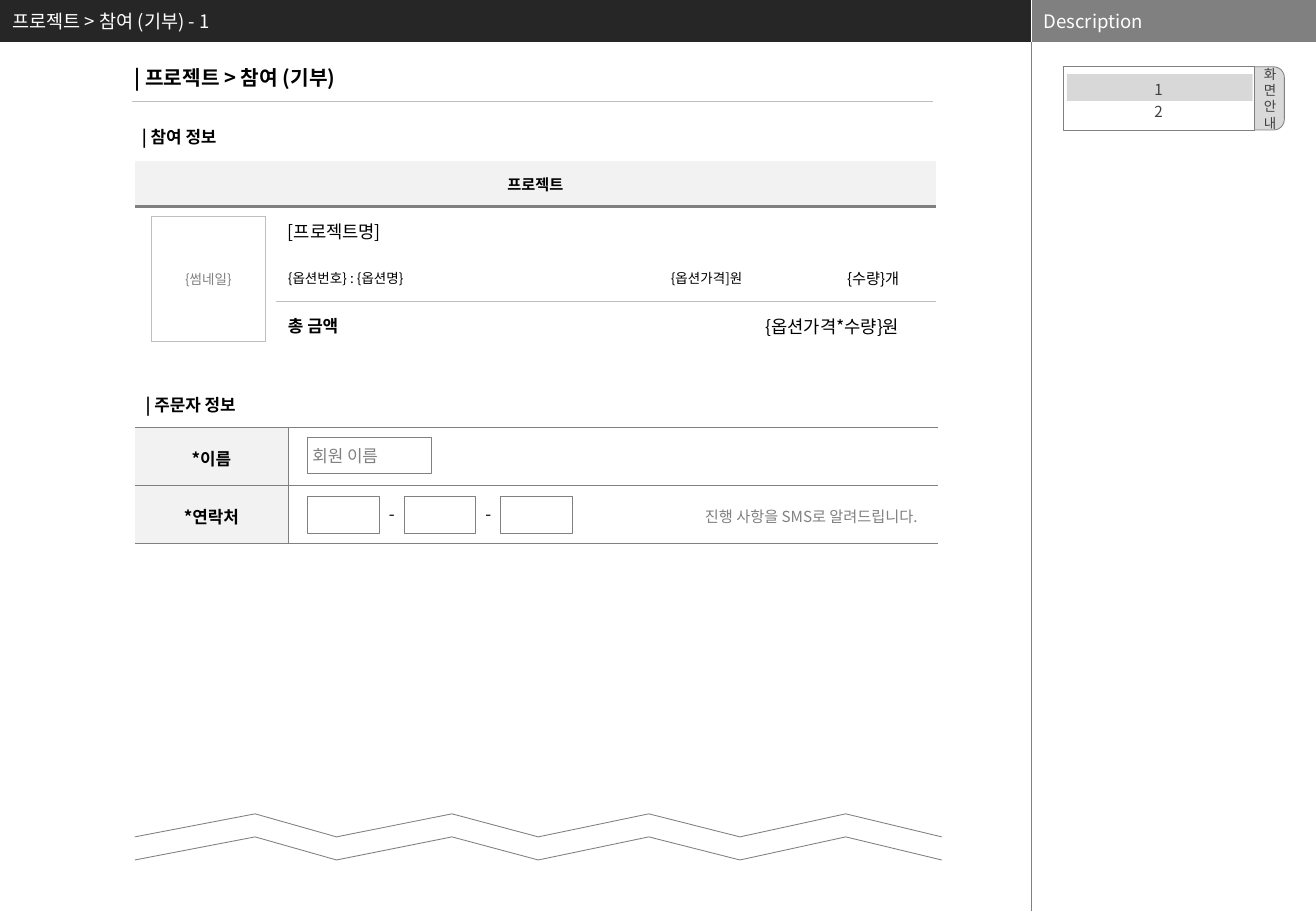
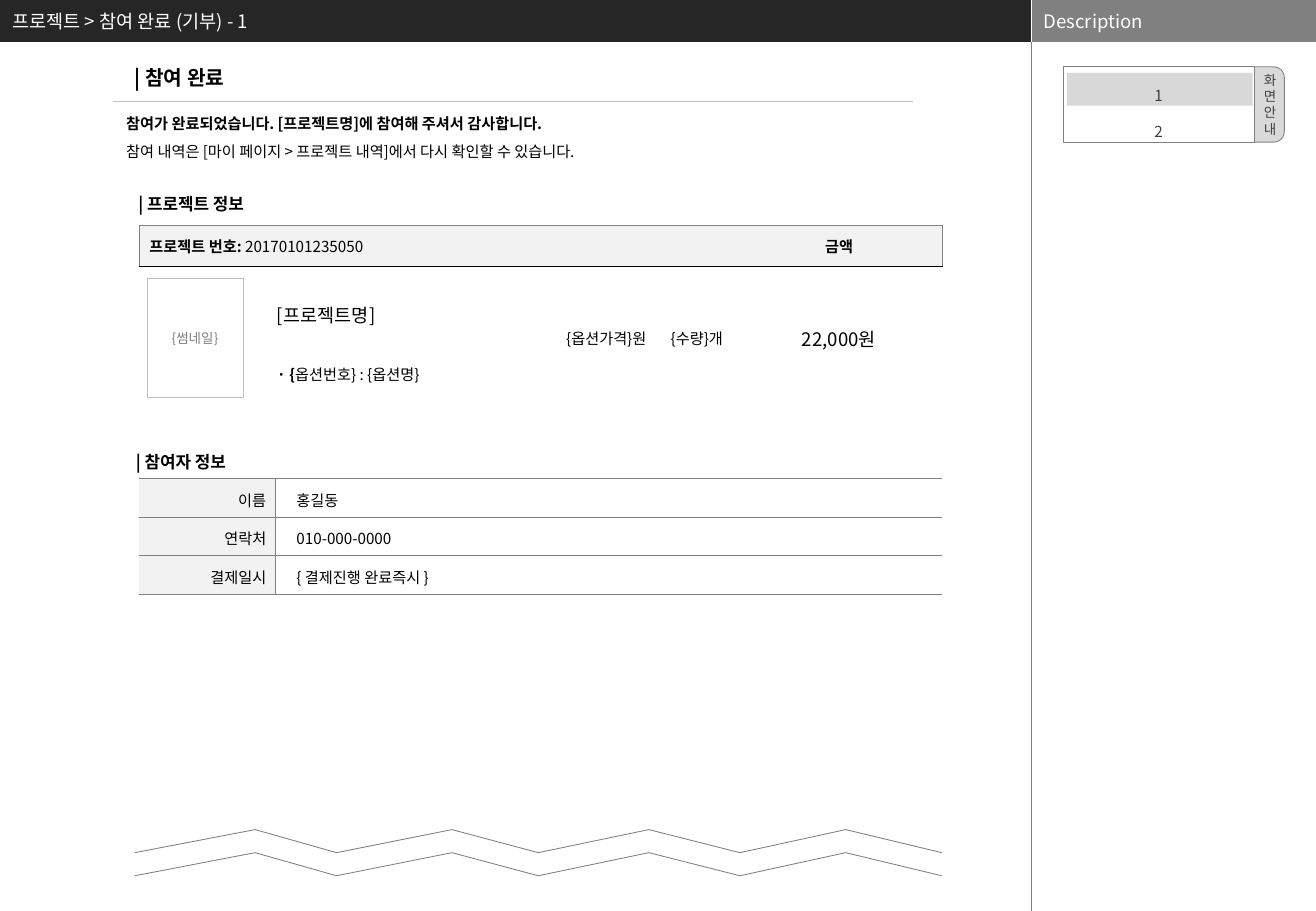
import dataclasses

import lxml.etree
import pptx
import pptx.dml.color
import pptx.enum.shapes
import pptx.enum.text
import pptx.oxml.ns
import pptx.util

qn = pptx.oxml.ns.qn
Align = pptx.enum.text.PP_ALIGN
Anchor = pptx.enum.text.MSO_ANCHOR
Preset = pptx.enum.shapes.MSO_SHAPE
PLAIN_TABLE = "{2D5ABB26-0587-4C30-8999-92F81FD0307C}"
EDGE_TAGS = [qn("a:ln" + side) for side in "LRTB"]


@dataclasses.dataclass(frozen=True)
class Theme:
    font: str = "Noto Sans CJK KR"
    white: str = "FFFFFF"
    black: str = "000000"
    band: str = "262626"
    grey: str = "808080"
    rule: str = "BFBFBF"
    head_fill: str = "F2F2F2"
    tab_fill: str = "D9D9D9"
    panel_text: str = "404040"
    band_size: float = 11
    title_size: float = 12
    heading_size: float = 10
    project_size: float = 10.5
    body_size: float = 9
    small_size: float = 8
    hairline: float = 0.25
    thin: float = 0.5
    medium: float = 1
    thick: float = 1.5


@dataclasses.dataclass(frozen=True)
class Box:
    """A region in grid steps; the slide is 108.3 columns by 75 rows."""
    left: float
    top: float
    width: float
    height: float

    def inner(self, left, top, width, height):
        return Box(self.left + left, self.top + top, width, height)

    def lengths(self):
        return [step(n) for n in (self.left, self.top, self.width, self.height)]


THEME = Theme()
SLIDE = Box(0, 0, 108.3, 75)
BAND = Box(0, 0, 84.9, 3.45)
SIDE = Box(84.9, 0, 23.4, 3.45)


def step(count):
    return pptx.util.Inches(count / 10)


def rgb(colour):
    return pptx.dml.color.RGBColor.from_string(colour)


def write(frame, lines, size, colour=THEME.black, bold=False, align=Align.LEFT, spacing=None):
    for index, line in enumerate(lines):
        para = frame.paragraphs[0] if index == 0 else frame.add_paragraph()
        para.text = line
        para.alignment = align
        para.line_spacing = spacing
        font = para.font
        font.name, font.size, font.bold = THEME.font, pptx.util.Pt(size), bold
        font.color.rgb = rgb(colour)
        font._element.set("kern", "0")
        east_asian = lxml.etree.SubElement(font._element, qn("a:ea"))
        east_asian.set("typeface", THEME.font)


def set_frame(frame, insets, anchor, wrap=True):
    frame.margin_left, frame.margin_top, frame.margin_right, frame.margin_bottom = map(step, insets)
    frame.vertical_anchor = anchor
    frame.word_wrap = wrap
    frame.auto_size = pptx.enum.text.MSO_AUTO_SIZE.NONE


def add_text(page, box, lines, size, insets=(1, 0.5, 1, 0.5), anchor=Anchor.TOP, wrap=True, **style):
    frame = page.shapes.add_textbox(*box.lengths()).text_frame
    set_frame(frame, insets, anchor, wrap)
    write(frame, lines, size, **style)
    return frame


def add_block(page, box, fill, line=None, preset=Preset.RECTANGLE):
    block = page.shapes.add_shape(preset, *box.lengths())
    block.shadow.inherit = False
    block.fill.solid()
    block.fill.fore_color.rgb = rgb(fill)
    if line:
        block.line.color.rgb = rgb(line)
        block.line.width = pptx.util.Pt(THEME.thin)
    else:
        block.line.fill.background()
    return block


def add_line(page, left, top, right, bottom, colour, width):
    line = page.shapes.add_connector(
        pptx.enum.shapes.MSO_CONNECTOR.STRAIGHT, *map(step, (left, top, right, bottom)))
    line.line.color.rgb = rgb(colour)
    line.line.width = pptx.util.Pt(width)
    lxml.etree.SubElement(line.element.spPr, qn("a:effectLst"))


def add_table(page, box, columns, rows):
    table = page.shapes.add_table(len(rows), len(columns), *box.lengths()).table
    table.first_row = table.horz_banding = False
    table._tbl.tblPr.find(qn("a:tableStyleId")).text = PLAIN_TABLE
    for column, width in zip(table.columns, columns):
        column.width = step(width)
    for row, height in zip(table.rows, rows):
        row.height = step(height)
    for cell in table.iter_cells():
        cell.fill.background()
        cell.margin_top = cell.margin_bottom = 0
        cell.vertical_anchor = Anchor.MIDDLE
        cell.text_frame.paragraphs[0].font.size = pptx.util.Pt(THEME.small_size)
    draw_edges(table.iter_cells(), "LRTB")
    return table


def write_cell(cell, text, size, insets=(1, 0.5), **style):
    cell.margin_left, cell.margin_right = map(step, insets)
    write(cell.text_frame, [text], size, **style)


def shade(cells):
    for cell in cells:
        cell.fill.solid()
        cell.fill.fore_color.rgb = rgb(THEME.head_fill)


def draw_edges(cells, sides, colour=None, width=THEME.thin):
    """Rule the named sides of cells; without a colour, leave them unruled."""
    for cell in cells:
        props = cell._tc.get_or_add_tcPr()
        for side in sides:
            for former in props.findall(qn("a:ln" + side)):
                props.remove(former)
            edge = lxml.etree.SubElement(props, qn("a:ln" + side), w=str(pptx.util.Pt(width)))
            fill = lxml.etree.SubElement(edge, qn("a:solidFill" if colour else "a:noFill"))
            if colour:
                lxml.etree.SubElement(fill, qn("a:srgbClr"), val=colour)
        props[:] = sorted(
            props, key=lambda part: EDGE_TAGS.index(part.tag) if part.tag in EDGE_TAGS else 4)


def row_cells(table, row):
    return [table.cell(row, column) for column in range(len(table.columns))]


def build_layout(deck):
    """Put the bands and the side rule on the title-only layout."""
    layout = deck.slide_layouts[5]
    for holder in list(layout.placeholders):
        if holder.placeholder_format.idx:
            holder.element.getparent().remove(holder.element)
    page = deck.slides.add_slide(layout)
    add_block(page, BAND, THEME.band)
    add_block(page, SIDE, THEME.grey)
    add_line(page, SIDE.left, 0, SIDE.left, SIDE.height, THEME.white, THEME.hairline)
    add_line(page, SIDE.left, SIDE.height, SIDE.left, SLIDE.height, THEME.grey, THEME.hairline)
    add_text(page, SIDE, ["Description"], THEME.band_size, anchor=Anchor.MIDDLE, colour=THEME.white)
    for shape in list(page.shapes)[1:]:
        layout.shapes.element.append(shape.element)
    return layout, page


def set_title(page, text):
    title = page.shapes.title
    title.left, title.top, title.width, title.height = BAND.inner(0, 0, 82.5, 3.5).lengths()
    set_frame(title.text_frame, (1, 0.5, 1, 0.5), Anchor.MIDDLE)
    write(title.text_frame, [text], THEME.band_size, THEME.white)


def draw_page_heading(page, text, rule_left):
    add_text(page, Box(10.1, 4.9, 32.2, 3), [text], THEME.title_size, bold=True)
    add_line(page, rule_left, 8.35, rule_left + 65.85, 8.35, THEME.rule, THEME.thin)


def draw_section_heading(page, left, top, text):
    add_text(page, Box(left, top, 21.4, 2.7), [text], THEME.heading_size, bold=True)


def draw_thumbnail(page, box):
    table = add_table(page, box, (box.width,), (box.height,))
    draw_edges(table.iter_cells(), "LRTB", THEME.rule)
    label = add_block(page, box.inner((box.width - 7.1) / 2, (box.height - 1.3) / 2, 7.1, 1.3),
                      THEME.white)
    set_frame(label.text_frame, (0, 0, 0, 0), Anchor.MIDDLE)
    write(label.text_frame, ["{썸네일}"], THEME.small_size, THEME.grey, align=Align.CENTER)


def draw_screen_guide(page, box, spacing, highlight_top, highlight_height):
    tab = add_block(page, box.inner(13.6, 0, 4.6, box.height),
                    THEME.tab_fill, THEME.grey, Preset.ROUNDED_RECTANGLE)
    tab.adjustments[0] = 0.19
    set_frame(tab.text_frame, (0, 0, 0.4, 0), Anchor.MIDDLE, wrap=False)
    write(tab.text_frame, "화면안내", THEME.small_size, THEME.panel_text, align=Align.RIGHT)
    listing = add_block(page, box.inner(0, 0, 15.7, box.height), THEME.white, THEME.grey)
    set_frame(listing.text_frame, (0.4, 0.4, 0.4, 0.4), Anchor.MIDDLE, wrap=False)
    write(listing.text_frame, "12", THEME.body_size, THEME.panel_text,
          align=Align.CENTER, spacing=spacing)
    highlight = add_block(page, box.inner(0.3, highlight_top, 15.3, highlight_height), THEME.panel_text)
    colour = highlight.element.spPr.find(qn("a:solidFill")).find(qn("a:srgbClr"))
    lxml.etree.SubElement(colour, qn("a:alpha"), val="20000")


def draw_page_break(page, box):
    """Two parallel zigzags on a white plate that show the screen goes on."""
    plate_top = box.top - 1.9
    add_block(page, Box(box.left - 0.2, plate_top, 66.9, min(9.9, SLIDE.height - plate_top)),
              THEME.white)
    offsets = (0, 9.9, 16.6, 26.1, 33.2, 42.3, 49.8, 58.5, 66.4)
    lower = box.height / 2
    zigzags = [[(step(box.left + x), step(box.top + drop + (0 if index % 2 else lower)))
                for index, x in enumerate(offsets)] for drop in (0, lower)]
    builder = page.shapes.build_freeform(*zigzags[0][0])
    builder.add_line_segments(zigzags[0][1:], close=False)
    builder.move_to(*zigzags[1][0])
    builder.add_line_segments(zigzags[1][1:], close=False)
    outline = builder.convert_to_shape()
    outline.shadow.inherit = False
    outline.fill.background()
    outline.line.color.rgb = rgb(THEME.grey)
    outline.line.width = pptx.util.Pt(THEME.thin)


def draw_order_table(page, box):
    table = add_table(page, box, (11.6, 13, 26.4, 14.9), (3.75, 3.92, 3.92, 3.92))
    for first, last in (((0, 0), (0, 3)), ((1, 0), (3, 0)), ((1, 1), (1, 3)), ((3, 2), (3, 3))):
        table.cell(*first).merge(table.cell(*last))
    for row, column, text, size, style in (
            (0, 0, "프로젝트", THEME.body_size, dict(bold=True, align=Align.CENTER, insets=(0, 0))),
            (1, 1, "[프로젝트명]", THEME.project_size, {}),
            (2, 1, "{옵션번호} : {옵션명}", THEME.small_size, dict(insets=(1, 0))),
            (2, 2, "{옵션가격]원", THEME.small_size, dict(align=Align.RIGHT, insets=(1, 1))),
            (2, 3, "{수량}개", THEME.body_size, dict(align=Align.RIGHT, insets=(1, 3))),
            (3, 1, "총 금액", THEME.heading_size, dict(bold=True)),
            (3, 2, "{옵션가격*수량}원", THEME.project_size, dict(align=Align.RIGHT, insets=(1, 3)))):
        write_cell(table.cell(row, column), text, size, **style)
    shade(row_cells(table, 0))
    draw_edges(row_cells(table, 0), "B", THEME.grey, THEME.thick)
    draw_edges(row_cells(table, 1), "T", THEME.grey, THEME.thick)
    draw_edges(row_cells(table, 2)[1:], "B", THEME.rule, THEME.medium)
    draw_edges(row_cells(table, 3)[1:], "T", THEME.rule, THEME.medium)
    draw_thumbnail(page, box.inner(1.35, 4.55, 9.4, 10.3))


def add_form(page, box, label_width, labels, size, **style):
    """A two-column table with shaded labels and ruled rows."""
    table = add_table(page, box, (label_width, box.width - label_width),
                      [box.height / len(labels)] * len(labels))
    for row, label in enumerate(labels):
        cells = row_cells(table, row)
        for cell in cells:
            cell.margin_top = step(0.3)
        write_cell(cells[0], label, size, insets=(0.8, 0.8), **style)
        shade(cells[:1])
        draw_edges(cells[:1], "RTB", THEME.grey)
        draw_edges(cells[1:], "LTB", THEME.grey)
    return table


def draw_orderer_form(page, box):
    table = add_form(page, box, 12.6, ("*이름", "*연락처"), THEME.heading_size,
                     bold=True, align=Align.CENTER)
    write_cell(table.cell(1, 1), "진행 사항을 SMS로 알려드립니다.", THEME.body_size,
               insets=(1.7, 1.7), colour=THEME.grey, align=Align.RIGHT)
    name = add_block(page, box.inner(14.2, 0.8, 10.2, 3), THEME.white, THEME.grey)
    set_frame(name.text_frame, (0.4, 0.4, 0.4, 0.4), Anchor.MIDDLE, wrap=False)
    write(name.text_frame, ["회원 이름"], THEME.heading_size, THEME.grey)
    for index in range(3):
        left = 14.2 + 7.95 * index
        add_block(page, box.inner(left, 5.7, 5.9, 3), THEME.white, THEME.grey)
        if index < 2:
            add_text(page, box.inner(left + 6.7, 6.3, 0.6, 1.7), ["-"], THEME.heading_size,
                     insets=(0, 0, 0, 0), wrap=False)


def draw_receipt_table(page, box):
    table = add_table(page, box, (11.2, 22.9, 8.6, 6.3, 17.1), (3.4, 7.9, 3.9))
    table.cell(0, 0).merge(table.cell(0, 2))
    for column in (0, 2, 3, 4):
        table.cell(1, column).merge(table.cell(2, column))
    centred = dict(align=Align.CENTER, insets=(0.1, 0.1))
    for row, column, text, size, style in (
            (0, 0, "프로젝트 번호: ", THEME.body_size, dict(bold=True, insets=(0.8, 0.8))),
            (0, 4, "금액", THEME.body_size, dict(bold=True, **centred)),
            (1, 1, "[프로젝트명]", THEME.band_size, dict(insets=(0.1, 0.1))),
            (1, 2, "{옵션가격}원", THEME.body_size, centred),
            (1, 3, "{수량}개", THEME.body_size, centred),
            (1, 4, "22,000원", THEME.band_size, centred),
            (2, 1, "· {", THEME.body_size, dict(bold=True, insets=(0.1, 0.1)))):
        write_cell(table.cell(row, column), text, size, **style)
    table.cell(2, 1).vertical_anchor = Anchor.TOP
    for row, column, text in ((0, 0, "20170101235050"), (2, 1, "옵션번호} : {옵션명}")):
        span = table.cell(row, column).text_frame.paragraphs[0].add_run()
        span.text = text
        span.font.bold = False
    header = row_cells(table, 0)
    shade(header)
    draw_edges(header, "T", THEME.grey)
    draw_edges(header[:1], "L", THEME.grey)
    draw_edges(header[-1:], "R", THEME.grey)
    draw_edges(header, "B", THEME.black, THEME.medium)
    draw_edges(row_cells(table, 1), "T", THEME.black, THEME.medium)
    draw_thumbnail(page, box.inner(0.6, 4.35, 7.9, 9.8))


def draw_participant_form(page, box):
    entries = {"이름": "홍길동", "연락처": "010-000-0000", "결제일시": "{ 결제진행 완료즉시 }"}
    table = add_form(page, box, 11.3, list(entries), THEME.body_size, align=Align.RIGHT)
    for row, value in enumerate(entries.values()):
        write_cell(table.cell(row, 1), value, THEME.body_size, insets=(1.7, 1.7))


def build_order_page(page):
    set_title(page, "프로젝트 > 참여 (기부) - 1")
    draw_page_heading(page, "| 프로젝트 > 참여 (기부)", 10.9)
    draw_section_heading(page, 10.7, 9.9, "| 참여 정보")
    draw_order_table(page, Box(11.1, 13.25, 65.9, 15.5))
    draw_section_heading(page, 11, 32, "| 주문자 정보")
    draw_orderer_form(page, Box(11.1, 35.2, 66.1, 9.5))
    draw_page_break(page, Box(11.1, 67, 66.4, 3.8))
    draw_screen_guide(page, Box(87.5, 5.5, 18.2, 5.2), 1.2, 0.6, 2.2)


def build_complete_page(page):
    set_title(page, "프로젝트 > 참여 완료 (기부) - 1")
    draw_page_heading(page, "| 참여 완료", 9.3)
    intro = add_text(page, Box(9.4, 8.2, 61.4, 5.6),
                     ["참여가 완료되었습니다. [프로젝트명]에 참여해 주셔서 감사합니다.",
                      "참여 내역은 [마이 페이지 > 프로젝트 내역]에서 다시 확인할 수 있습니다."],
                     THEME.body_size, spacing=1.5)
    intro.paragraphs[0].font.bold = True
    draw_section_heading(page, 10.4, 15.45, "| 프로젝트 정보")
    draw_receipt_table(page, Box(11.5, 18.55, 66.1, 15.2))
    draw_section_heading(page, 10.2, 36.7, "| 참여자 정보")
    draw_participant_form(page, Box(11.4, 39.4, 66.1, 9.5))
    draw_page_break(page, Box(11.1, 68.3, 66.4, 3.8))
    draw_screen_guide(page, Box(87.5, 5.5, 18.2, 6.2), 2.0, 0.5, 2.7)


def main():
    deck = pptx.Presentation()
    deck.slide_width, deck.slide_height = step(SLIDE.width), step(SLIDE.height)
    layout, first_page = build_layout(deck)
    build_order_page(first_page)
    build_complete_page(deck.slides.add_slide(layout))
    deck.save("out.pptx")


if __name__ == "__main__":
    main()
